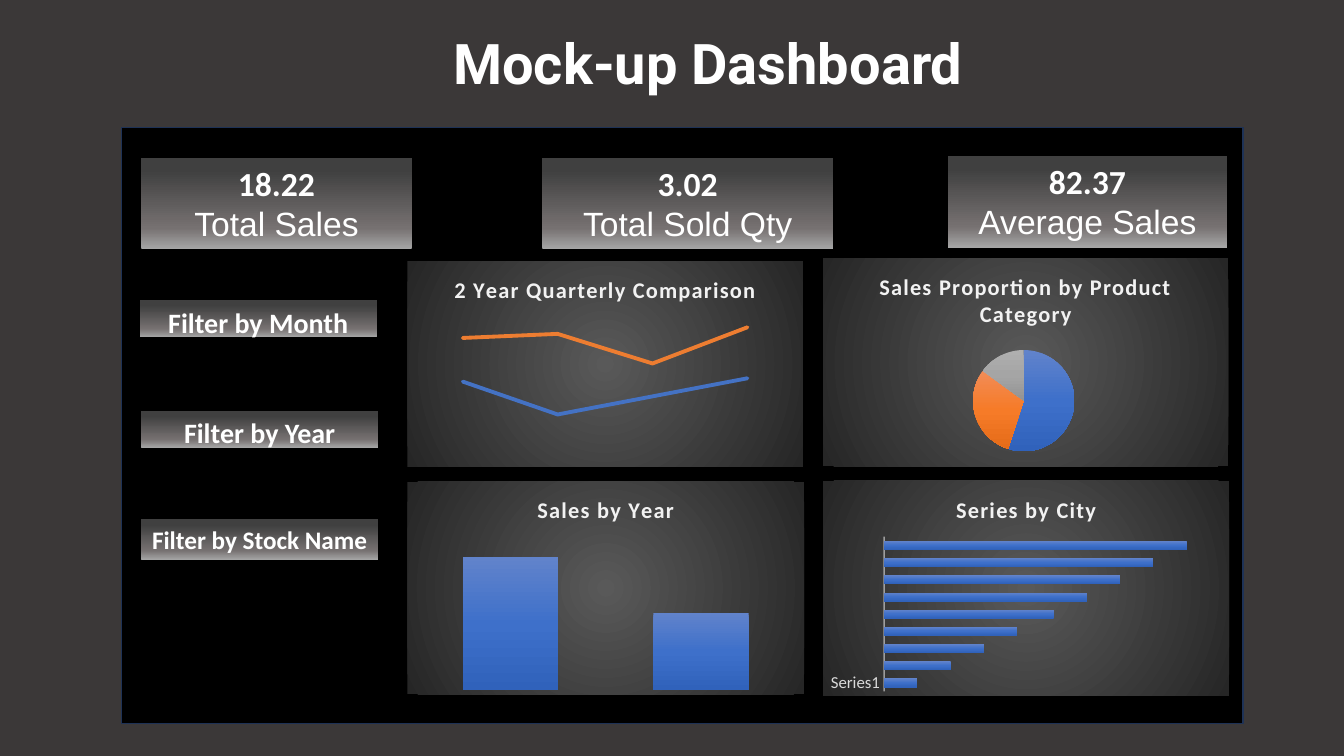
from lxml import etree
from pptx import Presentation
from pptx.chart.data import CategoryChartData
from pptx.dml.color import RGBColor
from pptx.dml.fill import FillFormat
from pptx.enum import chart as ch, shapes, text
from pptx.oxml import parse_xml
from pptx.oxml.ns import nsdecls, qn
from pptx.util import Pt

BACKGROUND = RGBColor(0x3B, 0x38, 0x38)
BLACK = RGBColor(0, 0, 0)
WHITE = RGBColor(0xFF, 0xFF, 0xFF)
NAVY = RGBColor(0x1E, 0x32, 0x56)
OFF_WHITE = RGBColor(0xF2, 0xF2, 0xF2)
LABEL_GRAY = RGBColor(0xD9, 0xD9, 0xD9)
BLUE = RGBColor(0x44, 0x72, 0xC4)
ORANGE = RGBColor(0xED, 0x7D, 0x31)


def stops(positions, *codes):
    return [(at, RGBColor.from_string(code)) for at, code in zip(positions, codes)]


TILE_STOPS = stops((0, 23, 86, 100), "A6A6A6", "767171", "404040", "404040")
CHART_STOPS = stops((0, 100), "595959", "262626")
BLUE_STOPS = stops((0, 50, 100), "6183CB", "3E70CA", "3062BB")
ORANGE_STOPS = stops((0, 50, 100), "F18C57", "F67B28", "E56C19")
GRAY_STOPS = stops((0, 50, 100), "AFAFAF", "A5A5A5", "939393")


def fill_gradient(fill, colour_stops, angle=None):
    """Fill linearly at the angle, or from the centre outwards without one."""
    marks = "".join(f'<a:gs pos="{at * 1000}"><a:srgbClr val="{colour}"/></a:gs>'
                    for at, colour in colour_stops)
    if angle is None:
        direction = ('<a:path path="circle"><a:fillToRect l="50000" t="50000" '
                     'r="50000" b="50000"/></a:path>')
    else:
        direction = f'<a:lin ang="{angle * 60000}" scaled="0"/>'
    gradient = parse_xml(f'<a:gradFill {nsdecls("a")} rotWithShape="1">'
                         f'<a:gsLst>{marks}</a:gsLst>{direction}</a:gradFill>')
    fill.background()
    parent = fill._xPr
    parent.replace(parent.find(qn("a:noFill")), gradient)


def write_line(paragraph, words, size, font_name, bold):
    paragraph.text = words
    paragraph.alignment = text.PP_ALIGN.CENTER
    font = paragraph.font
    font.size, font.name, font.bold = Pt(size), font_name, bold
    font.color.rgb = WHITE


def add_rectangle(slide, box):
    rectangle = slide.shapes.add_shape(shapes.MSO_SHAPE.RECTANGLE, *map(Pt, box))
    rectangle.shadow.inherit = False
    return rectangle


def add_heading(slide, box):
    frame = slide.shapes.add_textbox(*map(Pt, box)).text_frame
    frame.word_wrap = True
    write_line(frame.paragraphs[0], "Mock-up Dashboard", 40, "Roboto", True)


def add_panel(slide, box):
    panel = add_rectangle(slide, box)
    panel.fill.solid()
    panel.fill.fore_color.rgb = BLACK
    panel.line.color.rgb = NAVY
    panel.line.width = Pt(1)


def add_tile(slide, box, *lines):
    """Each line is its words, size, font name and boldness."""
    tile = add_rectangle(slide, box)
    fill_gradient(tile.fill, TILE_STOPS, 270)
    tile.line.fill.background()
    frame = tile.text_frame
    frame.word_wrap = True
    frame.vertical_anchor = text.MSO_ANCHOR.TOP
    for number, line in enumerate(lines):
        paragraph = frame.add_paragraph() if number else frame.paragraphs[0]
        write_line(paragraph, *line)


def add_dashboard_chart(slide, box, kind, title, categories, series, plot_box):
    """plot_box gives the plot's x, y, width and height as shares of the chart."""
    data = CategoryChartData()
    data.categories = categories
    for number, values in enumerate(series, 1):
        data.add_series(f"Series {number}", values)
    chart = slide.shapes.add_chart(kind, *map(Pt, box), data).chart
    chart.has_legend = False
    chart.font.size, chart.font.name = Pt(10), "Calibri"

    chart.has_title = True
    heading = chart.chart_title.text_frame.paragraphs[0]
    heading.text = title
    heading.font.size, heading.font.bold = Pt(16), True
    heading.font.name = "Calibri"
    heading.font.color.rgb = OFF_WHITE
    heading.runs[0].font._element.set("spc", "100")
    chart.chart_title.include_text_in_layout = False

    chart_space = chart._chartSpace
    surface = parse_xml(f'<c:spPr {nsdecls("c", "a")}><a:ln><a:noFill/></a:ln></c:spPr>')
    chart_space.find(qn("c:chart")).addnext(surface)
    fill_gradient(FillFormat.from_fill_parent(surface), CHART_STOPS)

    plot_area = chart_space.find(".//" + qn("c:plotArea"))
    for old in plot_area.findall(qn("c:layout")):
        plot_area.remove(old)
    layout = etree.Element(qn("c:layout"))
    manual = etree.SubElement(layout, qn("c:manualLayout"))
    settings = [("layoutTarget", "inner"), ("xMode", "edge"), ("yMode", "edge")]
    for tag, value in settings + list(zip("xywh", plot_box)):
        etree.SubElement(manual, qn("c:" + tag)).set("val", str(value))
    plot_area.insert(0, layout)
    chart.plots[0].vary_by_categories = kind == ch.XL_CHART_TYPE.PIE
    return chart


def hide_value_axis(chart, maximum):
    axis = chart.value_axis
    axis.has_major_gridlines = False
    axis.visible = False
    axis.minimum_scale, axis.maximum_scale = 0, maximum


def add_quarter_lines(slide, box):
    chart = add_dashboard_chart(
        slide, box, ch.XL_CHART_TYPE.LINE_STACKED, "2 Year Quarterly Comparison",
        ["1", "2", "3", "4"], [(96, 56, 78, 100), (53, 98, 40, 62)],
        (0.02, 0.25, 0.96, 0.72))
    hide_value_axis(chart, 180)
    chart.category_axis.visible = False
    for year, colour in zip(chart.plots[0].series, (BLUE, ORANGE)):
        year.smooth = False
        year.marker.style = ch.XL_MARKER_STYLE.NONE
        year.format.line.color.rgb = colour
        year.format.line.width = Pt(2.75)
        year.format.line._ln.set("cap", "rnd")


def add_product_pie(slide, box):
    chart = add_dashboard_chart(
        slide, box, ch.XL_CHART_TYPE.PIE, "Sales Proportion by Product Category",
        ["1", "2", "3"], [(55, 30, 15)], (0.37, 0.44, 0.25, 0.49))
    product = chart.plots[0].series[0]
    for number, colours in enumerate((BLUE_STOPS, ORANGE_STOPS, GRAY_STOPS)):
        fill_gradient(product.points[number].format.fill, colours, 90)


def add_year_columns(slide, box):
    chart = add_dashboard_chart(
        slide, box, ch.XL_CHART_TYPE.COLUMN_CLUSTERED, "Sales by Year",
        ["1", "2"], [(100, 58)], (0.02, 0.23, 0.96, 0.75))
    hide_value_axis(chart, 120)
    chart.category_axis.visible = False
    plot = chart.plots[0]
    plot.gap_width, plot.overlap = 100, -24
    fill_gradient(plot.series[0].format.fill, BLUE_STOPS, 90)


def add_city_bars(slide, box):
    chart = add_dashboard_chart(
        slide, box, ch.XL_CHART_TYPE.BAR_CLUSTERED, "Series by City",
        ["Series1"] + [""] * 8, [(11, 22, 33, 44, 56, 67, 78, 89, 100)],
        (0.15, 0.26, 0.82, 0.72))
    hide_value_axis(chart, 110)
    cities = chart.category_axis
    cities.major_tick_mark = ch.XL_TICK_MARK.NONE
    cities.tick_labels.font.size = Pt(12)
    cities.tick_labels.font.color.rgb = LABEL_GRAY
    line = cities.format.line
    line.color.rgb = OFF_WHITE
    line.width = Pt(1)
    colour = line._ln.find(".//" + qn("a:srgbClr"))
    etree.SubElement(colour, qn("a:alpha")).set("val", "54000")
    plot = chart.plots[0]
    plot.gap_width = 100
    fill_gradient(plot.series[0].format.fill, BLUE_STOPS, 90)


def add_dashboard(slide, box):
    left, top = box[:2]

    def inside(x, y, width, height):
        return left + x, top + y, width, height

    add_panel(slide, box)
    for x, y, width, figure, label in (
            (14, 21.5, 193, "18.22", "Total Sales"),
            (300.5, 21.5, 207.5, "3.02", "Total Sold Qty"),
            (590, 20.5, 199.5, "82.37", "Average Sales")):
        add_tile(slide, inside(x, y, width, 65.5),
                 (figure, 24, "Calibri", True), (label, 24, "Arial", False))
    for x, y, height, size, label in (
            (13, 123.5, 26.5, 20, "Filter by Month"),
            (14, 202.5, 26.5, 20, "Filter by Year"),
            (14, 280, 29, 18, "Filter by Stock Name")):
        add_tile(slide, inside(x, y, 169, height), (label, size, "Calibri", True))
    add_quarter_lines(slide, inside(204, 95.5, 282.5, 147))
    add_product_pie(slide, inside(501, 93.5, 289.5, 148.5))
    add_year_columns(slide, inside(204, 253, 283.5, 152))
    add_city_bars(slide, inside(501, 252.5, 290, 153.5))


def main():
    deck = Presentation()
    deck.slide_width, deck.slide_height = Pt(960), Pt(540)
    slide = deck.slides.add_slide(deck.slide_layouts[6])
    slide.background.fill.solid()
    slide.background.fill.fore_color.rgb = BACKGROUND
    add_dashboard(slide, (87, 91, 801, 426))
    add_heading(slide, (300.5, 16.5, 410.5, 55.5))
    deck.save("out.pptx")


if __name__ == "__main__":
    main()
